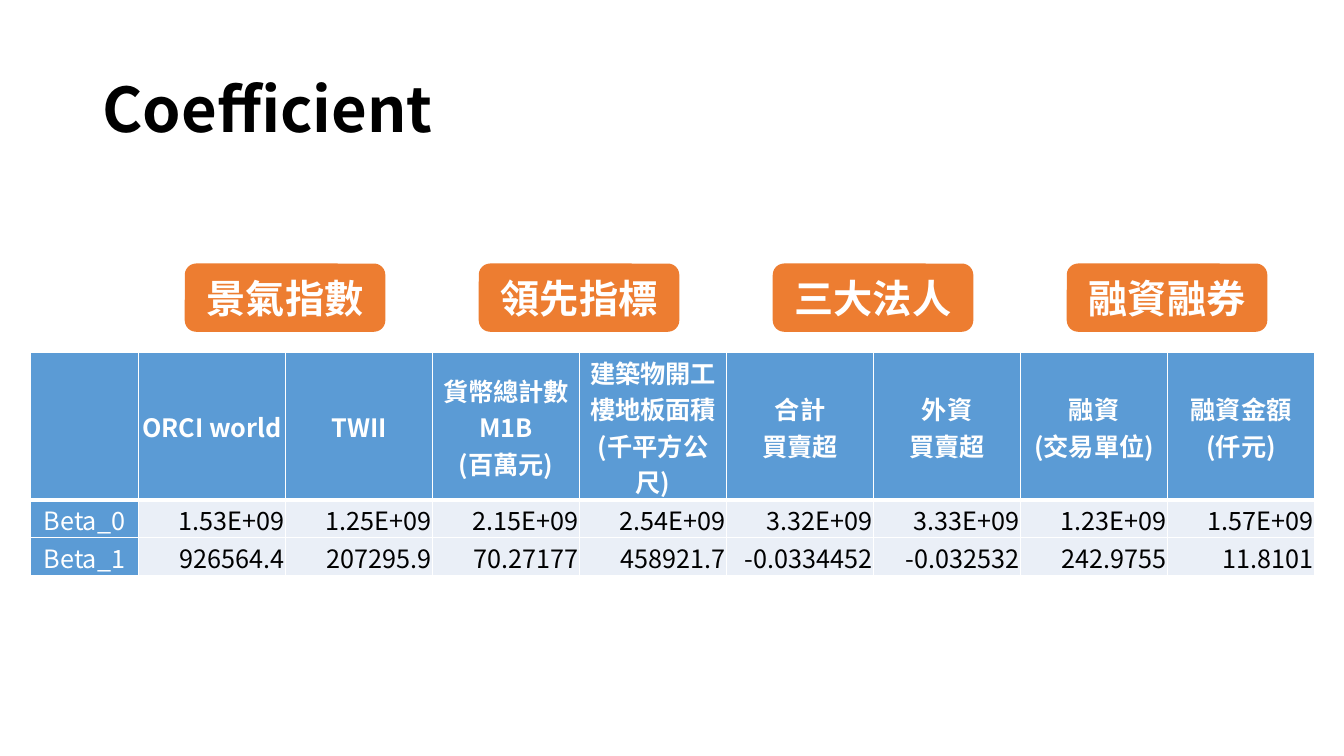
from lxml import etree
from pptx import Presentation
from pptx.dml.color import RGBColor
from pptx.enum.shapes import MSO_SHAPE
from pptx.enum.text import MSO_ANCHOR, PP_ALIGN
from pptx.oxml.ns import qn
from pptx.util import Pt

PX = 9525
FONT = "Noto Sans CJK TC"
WHITE = RGBColor(0xFF, 0xFF, 0xFF)
BLACK = RGBColor(0x00, 0x00, 0x00)
ORANGE = RGBColor(0xED, 0x7D, 0x31)
BLUE = RGBColor(0x5B, 0x9B, 0xD5)
PALE_BLUE = RGBColor(0xEA, 0xEF, 0xF7)
ROUNDED = MSO_SHAPE.ROUNDED_RECTANGLE
MIDDLE = MSO_ANCHOR.MIDDLE
LEFT, CENTER, RIGHT = PP_ALIGN.LEFT, PP_ALIGN.CENTER, PP_ALIGN.RIGHT

LABEL_WIDTH = 103
VALUE_WIDTH = 140
ROW_HEIGHTS = (140, 36, 36)
BADGE_WIDTH = 191

GROUPS = ["景氣指數", "領先指標", "三大法人", "融資融券"]
ROWS = [
    ["", "ORCI world", "TWII", "貨幣總計數 M1B\n(百萬元)",
     "建築物開工樓地板面積(千平方公尺)", "合計\n買賣超", "外資\n買賣超",
     "融資\n(交易單位)", "融資金額\n(仟元)"],
    ["Beta_0", "1.53E+09", "1.25E+09", "2.15E+09", "2.54E+09",
     "3.32E+09", "3.33E+09", "1.23E+09", "1.57E+09"],
    ["Beta_1", "926564.4", "207295.9", "70.27177", "458921.7",
     "-0.0334452", "-0.032532", "242.9755", "11.8101"],
]


def scale(*lengths):
    return [length * PX for length in lengths]


def write(text_frame, text, size, color, bold, alignment):
    text_frame.word_wrap = True
    for index, line in enumerate(text.split("\n")):
        paragraph = text_frame.paragraphs[0] if index == 0 else text_frame.add_paragraph()
        paragraph.alignment = alignment
        if not line:
            continue
        run = paragraph.add_run()
        run.text = line
        run.font.size = Pt(size)
        run.font.name = FONT
        run.font.bold = bold
        run.font.color.rgb = color
        east_asian = etree.SubElement(run.font._element, qn("a:ea"))
        east_asian.set("typeface", FONT)


def set_borders(cell, bottom_width):
    properties = cell._tc.get_or_add_tcPr()
    widths = {"lnL": 1, "lnR": 1, "lnT": 1, "lnB": bottom_width}
    for index, (side, width) in enumerate(widths.items()):
        line = etree.Element(qn(f"a:{side}"), w=str(Pt(width)))
        fill = etree.SubElement(line, qn("a:solidFill"))
        etree.SubElement(fill, qn("a:srgbClr"), val=str(WHITE))
        properties.insert(index, line)


def add_title(slide, left, top, width, height):
    title = slide.shapes.add_textbox(*scale(left, top, width, height))
    title.text_frame.vertical_anchor = MIDDLE
    write(title.text_frame, "Coefficient", 44, BLACK, True, LEFT)
    title.text_frame.paragraphs[0].line_spacing = 0.9


def add_badges(slide, left, top, height):
    pitch = 2 * VALUE_WIDTH
    inset = (pitch - BADGE_WIDTH) // 2
    for index, name in enumerate(GROUPS):
        x = left + LABEL_WIDTH + index * pitch + inset
        badge = slide.shapes.add_shape(ROUNDED, *scale(x, top, BADGE_WIDTH, height))
        badge.shadow.inherit = False
        badge.fill.solid()
        badge.fill.fore_color.rgb = ORANGE
        badge.line.fill.background()
        badge.text_frame.vertical_anchor = MIDDLE
        write(badge.text_frame, name, 28, WHITE, True, CENTER)


def fill_cell(cell, text, is_header, is_label):
    cell.margin_left = cell.margin_top = cell.margin_right = PX
    cell.margin_bottom = 0
    cell.vertical_anchor = MIDDLE
    colored = is_header or is_label
    cell.fill.solid()
    cell.fill.fore_color.rgb = BLUE if colored else PALE_BLUE
    set_borders(cell, 3 if is_header else 1)
    write(cell.text_frame, text, 18, WHITE if colored else BLACK,
          is_header, CENTER if colored else RIGHT)


def add_coefficient_table(slide, left, top):
    column_widths = [LABEL_WIDTH] + [VALUE_WIDTH] * (len(ROWS[0]) - 1)
    frame = slide.shapes.add_table(
        len(ROWS), len(column_widths),
        *scale(left, top, sum(column_widths), sum(ROW_HEIGHTS)))
    table = frame.table
    table.horz_banding = False
    for column, width in zip(table.columns, column_widths):
        column.width = width * PX
    for row_index, (row, height) in enumerate(zip(table.rows, ROW_HEIGHTS)):
        row.height = height * PX
        for column_index, cell in enumerate(row.cells):
            fill_cell(cell, ROWS[row_index][column_index],
                      row_index == 0, column_index == 0)


def main():
    presentation = Presentation()
    presentation.slide_width, presentation.slide_height = scale(1280, 720)
    slide = presentation.slides.add_slide(presentation.slide_layouts[6])
    add_title(slide, 88, 38, 1104, 139)
    add_coefficient_table(slide, 29, 336)
    add_badges(slide, 29, 251, 65)
    presentation.save("out.pptx")


if __name__ == "__main__":
    main()
